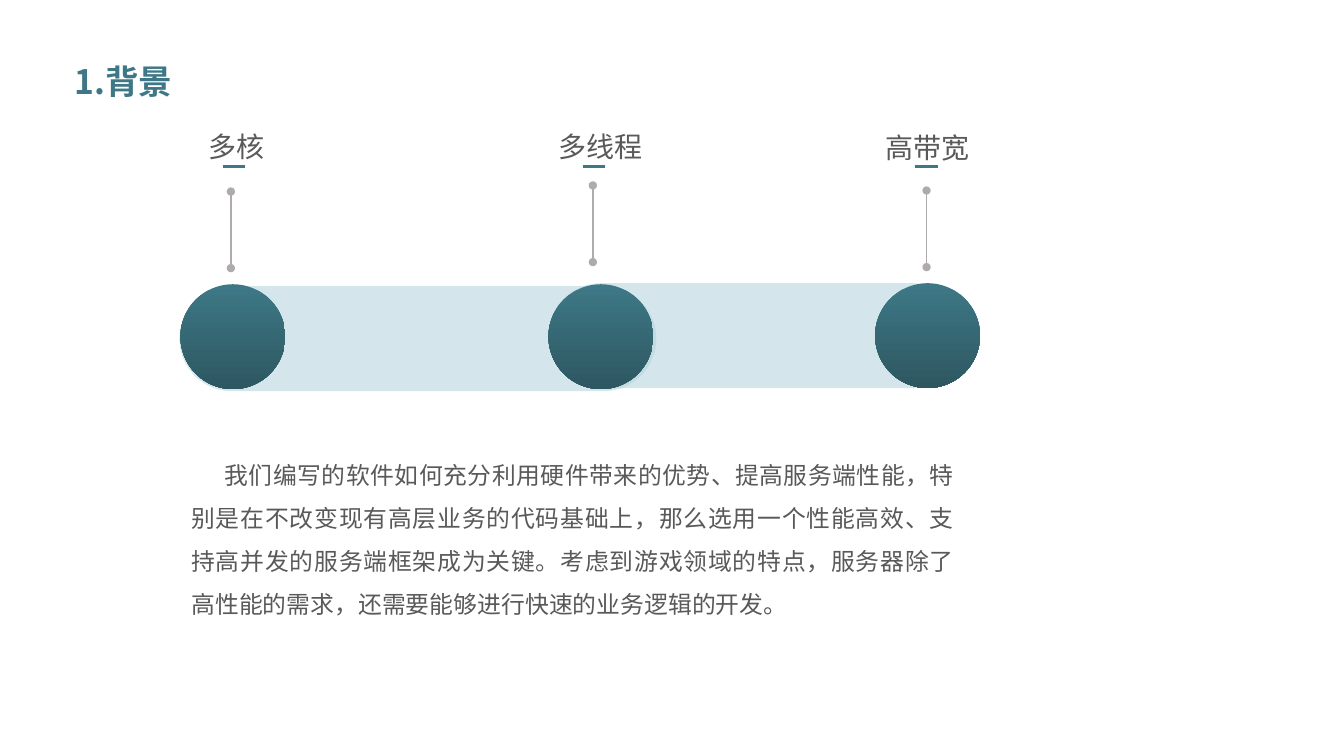
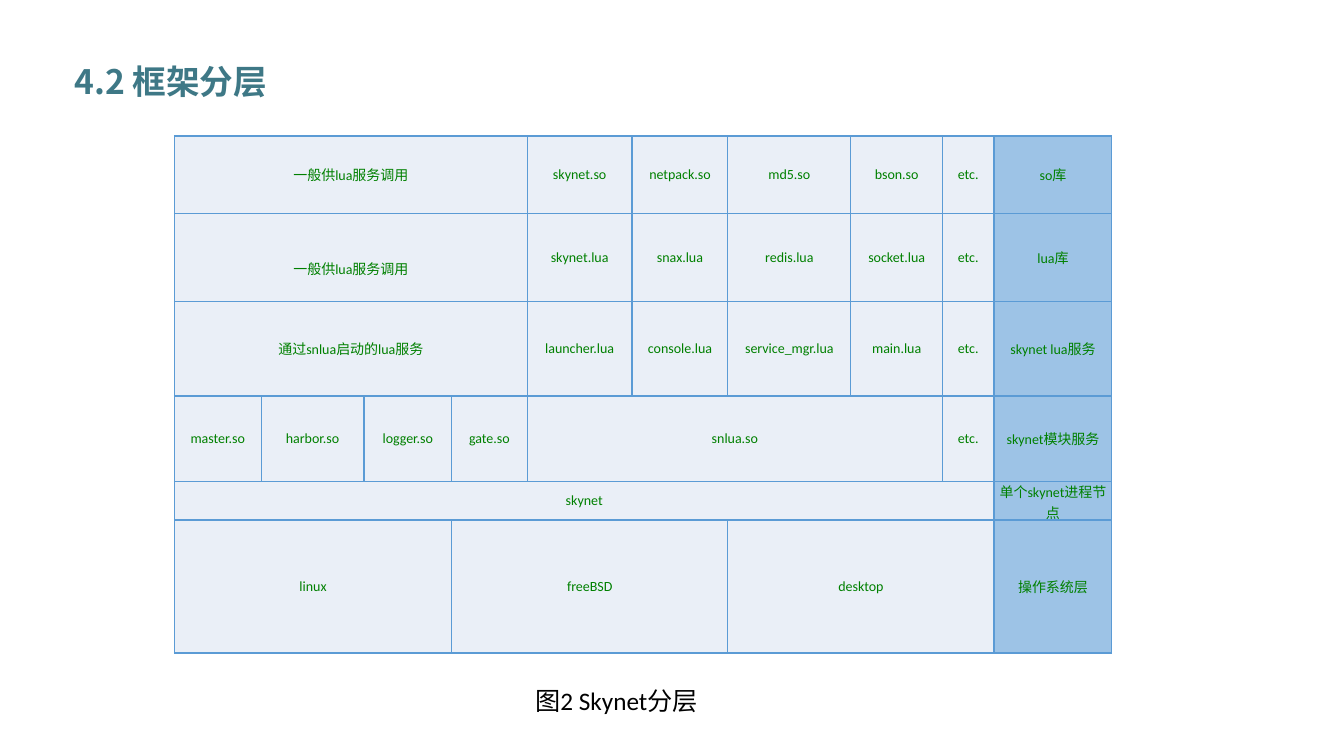
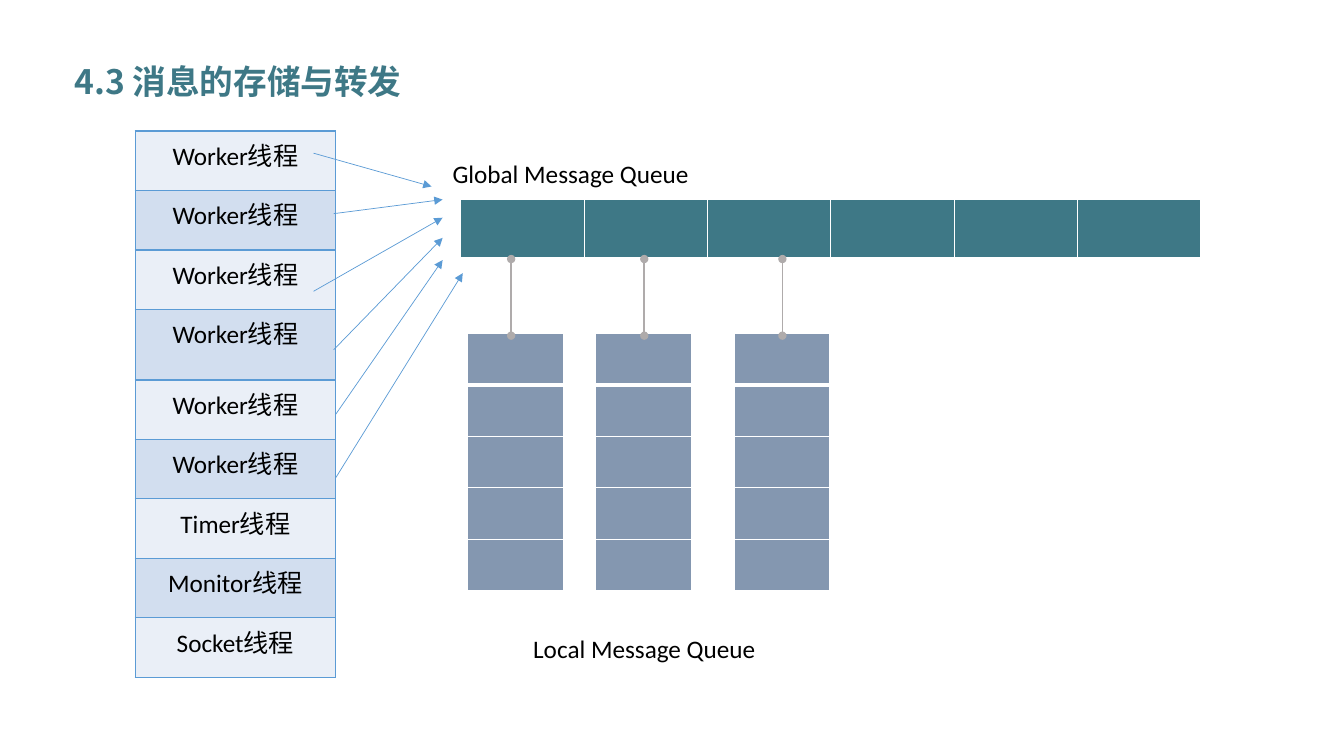
"""Build three slides on the background, layers and message queues of a server framework."""
from pptx import Presentation
from pptx.dml.color import RGBColor
from pptx.enum.shapes import MSO_CONNECTOR as LINE, MSO_SHAPE as SHAPE
from pptx.enum.text import MSO_ANCHOR as ANCHOR, PP_ALIGN as ALIGN
from pptx.oxml.ns import qn
from pptx.util import Inches, Pt
from lxml.etree import SubElement

COLORS = {
    "teal": "3E7886", "deep_teal": "2D5761", "pale_teal": "B5D5DD",
    "gray_text": "595959", "black": "000000", "green": "008000", "white": "FFFFFF",
    "stem": "AFABAB", "blue": "5B9BD5", "light": "EAEFF7", "band": "D2DEEF",
    "layer": "9DC3E6", "slate": "8497B0",
}
CJK_FONT = "Noto Sans CJK SC"
LATIN_FONT = "Calibri"

TOPICS = [
    ("多核", 1.49, 1.17, 1.71, 2.21, 2.29, 1.9),
    ("多线程", 5.15, 1.17, 1.62, 5.78, 5.88, 1.84),
    ("高带宽", 8.22, 1.18, 1.95, 9.08, 9.19, 1.89),
]
DISCS = [(1.79, 2.82), (5.44, 2.82), (8.68, 2.81)]
BACKGROUND = (
    "我们编写的软件如何充分利用硬件带来的优势、提高服务端性能，"
    "特别是在不改变现有高层业务的代码基础上，那么选用一个性能高效、"
    "支持高并发的服务端框架成为关键。考虑到游戏领域的特点，"
    "服务器除了高性能的需求，还需要能够进行快速的业务逻辑的开发。"
)
LAYER_COLUMNS = [0.86, 1.02, 0.87, 0.75, 1.04, 0.95, 1.22, 0.91, 0.51, 1.17]
LAYER_ROWS = [0.77, 0.87, 0.94, 0.85, 0.38, 1.32]
LAYERS = [
    [("一般供lua服务调用", 4), ("skynet.so", 1), ("netpack.so", 1), ("md5.so", 1),
     ("bson.so", 1), ("etc.", 1), ("so库", 1)],
    [("一般供lua服务调用", 4), ("skynet.lua", 1), ("snax.lua", 1), ("redis.lua", 1),
     ("socket.lua", 1), ("etc.", 1), ("lua库", 1)],
    [("通过snlua启动的lua服务", 4), ("launcher.lua", 1), ("console.lua", 1),
     ("service_mgr.lua", 1), ("main.lua", 1), ("etc.", 1), ("skynet lua服务", 1)],
    [("master.so", 1), ("harbor.so", 1), ("logger.so", 1), ("gate.so", 1),
     ("snlua.so", 4), ("etc.", 1), ("skynet模块服务", 1)],
    [("skynet", 9), ("单个skynet进程节点", 1)],
    [("linux", 3), ("freeBSD", 3), ("desktop", 3), ("操作系统层", 1)],
]
THREADS = ["Worker线程"] * 6 + ["Timer线程", "Monitor线程", "Socket线程"]
THREAD_ROWS = [0.59] * 3 + [0.7] + [0.59] * 5
ARROWS = [
    (3.11, 1.52, 4.28, 1.85), (3.31, 2.12, 4.39, 1.98), (3.11, 2.89, 4.39, 2.16),
    (3.31, 3.47, 4.39, 2.36), (3.33, 4.11, 4.39, 2.58), (3.33, 4.74, 4.59, 2.71),
]
LOCAL_QUEUES = [(4.64, 5.07), (5.91, 6.39), (7.28, 7.76)]


def rgb(name):
    """Return the named colour."""
    return RGBColor.from_string(COLORS[name])


def paint_gradient(fill):
    """Give a fill the teal gradient that runs from top to bottom."""
    fill.gradient()
    fill.gradient_angle = 270
    for stop, name in zip(fill.gradient_stops, ("teal", "deep_teal")):
        stop.color.rgb = rgb(name)


def write_text(frame, text, size=18, font=LATIN_FONT, color="black", bold=False,
               align=ALIGN.LEFT, spacing=None, indent=0, gradient=False):
    """Write one formatted paragraph into a text frame."""
    para = frame.paragraphs[0]
    para.alignment = align
    if spacing:
        para.line_spacing = spacing
    if indent:
        para._p.get_or_add_pPr().set("indent", str(Inches(indent)))
    span = para.add_run()
    span.text = text
    span.font.size = Pt(size)
    span.font.bold = bold
    if gradient:
        paint_gradient(span.font.fill)
    else:
        span.font.color.rgb = rgb(color)
    span.font.name = font
    east_asian = SubElement(span._r.get_or_add_rPr(), qn("a:ea"))
    east_asian.set("typeface", CJK_FONT)


def add_text(page, text, left, top, width, height, **format_options):
    """Add a wrapping text box."""
    box = page.shapes.add_textbox(Inches(left), Inches(top), Inches(width), Inches(height))
    box.text_frame.word_wrap = True
    write_text(box.text_frame, text, **format_options)


def add_page(deck, title):
    """Add a blank page with the shared title."""
    page = deck.slides.add_slide(deck.slide_layouts[6])
    add_text(page, title, 0.64, 0.47, 4.21, 0.59, size=24, font=CJK_FONT,
             bold=True, spacing=1.2, gradient=True)
    return page


def add_line(page, start_x, start_y, end_x, end_y, color, width, head=None, tail=None):
    """Add a straight line with optional ends."""
    line = page.shapes.add_connector(
        LINE.STRAIGHT, Inches(start_x), Inches(start_y), Inches(end_x), Inches(end_y))
    line.line.color.rgb = rgb(color)
    line.line.width = Pt(width)
    for tag, kind in (("a:headEnd", head), ("a:tailEnd", tail)):
        if kind:
            SubElement(line.line._get_or_add_ln(), qn(tag)).set("type", kind)
    SubElement(line._element.spPr, qn("a:effectLst"))


def add_stem(page, x, top):
    """Add a vertical gray line with a dot at both ends."""
    add_line(page, x, top, x, top + 0.76, "stem", 1.25, head="oval", tail="oval")


def add_plain_shape(page, kind, left, top, width, height):
    """Add a preset shape without outline or shadow."""
    shape = page.shapes.add_shape(
        kind, Inches(left), Inches(top), Inches(width), Inches(height))
    shape.shadow.inherit = False
    shape.line.fill.background()
    return shape


def add_bar(page, left, top, width):
    """Add a translucent bar with round ends."""
    bar = add_plain_shape(page, SHAPE.ROUNDED_RECTANGLE, left, top, width, 1.04)
    bar.adjustments[0] = 0.5
    bar.fill.solid()
    bar.fill.fore_color.rgb = rgb("pale_teal")
    tint = bar._element.spPr.find(qn("a:solidFill"))[0]
    SubElement(tint, qn("a:alpha")).set("val", "58000")


def add_grid(page, left, top, columns, rows):
    """Add an unstyled table with the given column widths and row heights."""
    frame = page.shapes.add_table(len(rows), len(columns), Inches(left), Inches(top),
                                  Inches(sum(columns)), Inches(sum(rows)))
    table = frame.table
    table.first_row = table.horz_banding = False
    for column, width in zip(table.columns, columns):
        column.width = Inches(width)
    for row, height in zip(table.rows, rows):
        row.height = Inches(height)
    return table


def style_cell(cell, fill, border, top=1, bottom=1):
    """Set the fill and the four borders of a cell."""
    cell.fill.solid()
    cell.fill.fore_color.rgb = rgb(fill)
    properties = cell._tc.get_or_add_tcPr()
    sides = (("a:lnL", 1), ("a:lnR", 1), ("a:lnT", top), ("a:lnB", bottom))
    for place, (tag, width) in enumerate(sides):
        edge = SubElement(properties, qn(tag))
        edge.set("w", str(Pt(width)))
        paint = SubElement(edge, qn("a:solidFill"))
        SubElement(paint, qn("a:srgbClr")).set("val", COLORS[border])
        properties.insert(place, edge)


def add_layer_table(page):
    """Add the table of framework layers."""
    table = add_grid(page, 1.73, 1.35, LAYER_COLUMNS, LAYER_ROWS)
    last = len(LAYER_COLUMNS) - 1
    for cell in table.iter_cells():
        cell.margin_left = cell.margin_right = cell.margin_top = cell.margin_bottom = 0
        cell.vertical_anchor = ANCHOR.MIDDLE
    for row, entries in enumerate(LAYERS):
        column = 0
        for text, span in entries:
            for covered in range(column, column + span):
                style_cell(table.cell(row, covered),
                           "layer" if covered == last else "light", "blue")
            cell = table.cell(row, column)
            if span > 1:
                cell.merge(table.cell(row, column + span - 1))
            write_text(cell.text_frame, text, size=10, color="green", align=ALIGN.CENTER)
            column += span
    table.cell(1, 0).margin_top = Inches(0.22)


def add_thread_table(page):
    """Add the banded column of threads."""
    table = add_grid(page, 1.34, 1.3, [1.99], THREAD_ROWS)
    for row, text in enumerate(THREADS):
        cell = table.cell(row, 0)
        style_cell(cell, "band" if row % 2 else "light", "blue")
        write_text(cell.text_frame, text, align=ALIGN.CENTER)


def add_queue(page, left, top, columns, rows, fill):
    """Add an empty queue with a thick rule under its first row."""
    table = add_grid(page, left, top, columns, rows)
    for row in range(len(rows)):
        for column in range(len(columns)):
            style_cell(table.cell(row, column), fill, "white",
                       top=3 if row == 1 else 1, bottom=3 if row == 0 else 1)


def build_background(deck):
    """Build the page on hardware trends."""
    page = add_page(deck, "1.背景")
    add_bar(page, 5.44, 2.81, 4.13)
    add_bar(page, 1.78, 2.84, 4.73)
    for left, top in DISCS:
        disc = add_plain_shape(page, SHAPE.OVAL, left, top, 1.04, 1.04)
        paint_gradient(disc.fill)
    for text, left, top, width, rule_left, stem_x, stem_top in TOPICS:
        add_stem(page, stem_x, stem_top)
        add_text(page, text, left, top, width, 0.5, size=20, font=CJK_FONT,
                 color="gray_text", align=ALIGN.CENTER, spacing=1.2)
        add_line(page, rule_left, 1.65, rule_left + 0.22, 1.65, "teal", 2.25)
    add_text(page, BACKGROUND, 1.8, 4.38, 7.76, 1.82, size=17, font=CJK_FONT,
             color="gray_text", align=ALIGN.JUSTIFY, spacing=1.5, indent=0.33)


def build_layers(deck):
    """Build the page on framework layers."""
    page = add_page(deck, "4.2 框架分层")
    add_layer_table(page)
    add_text(page, "图2 Skynet分层", 5.21, 6.75, 1.82, 0.4)


def build_messages(deck):
    """Build the page on message queues."""
    page = add_page(deck, "4.3 消息的存储与转发")
    add_thread_table(page)
    add_queue(page, 4.57, 1.98, [7.34 / 6] * 6, [0.59], "teal")
    add_text(page, "Global Message Queue", 4.39, 1.52, 2.57, 0.4)
    for ends in ARROWS:
        add_line(page, *ends, "blue", 0.5, tail="triangle")
    for left, stem_x in LOCAL_QUEUES:
        add_queue(page, left, 3.31, [0.95], [0.51] * 5, "slate")
        add_stem(page, stem_x, 2.57)
    add_text(page, "Local Message Queue", 5.19, 6.23, 2.43, 0.4)


def main():
    """Build and save the deck."""
    deck = Presentation()
    deck.slide_width = Inches(13.33)
    deck.slide_height = Inches(7.5)
    build_background(deck)
    build_layers(deck)
    build_messages(deck)
    deck.save("out.pptx")


if __name__ == "__main__":
    main()
